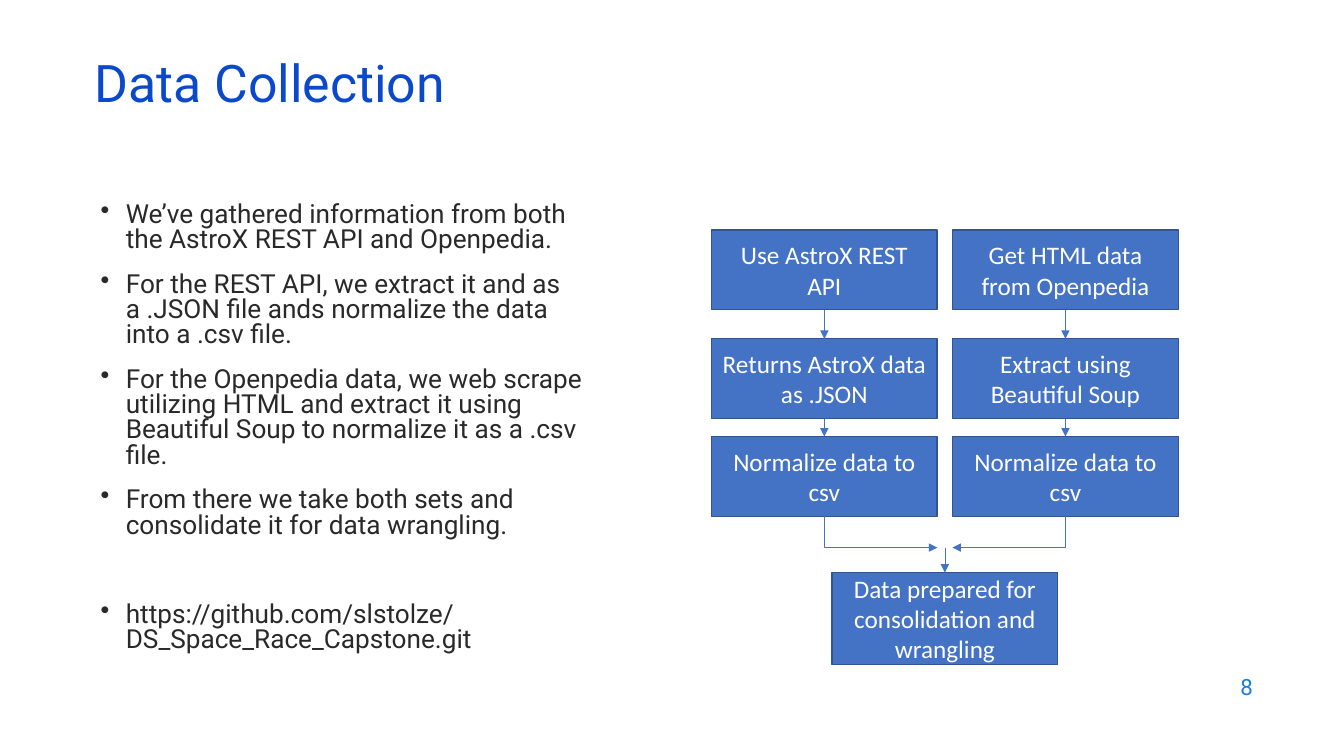
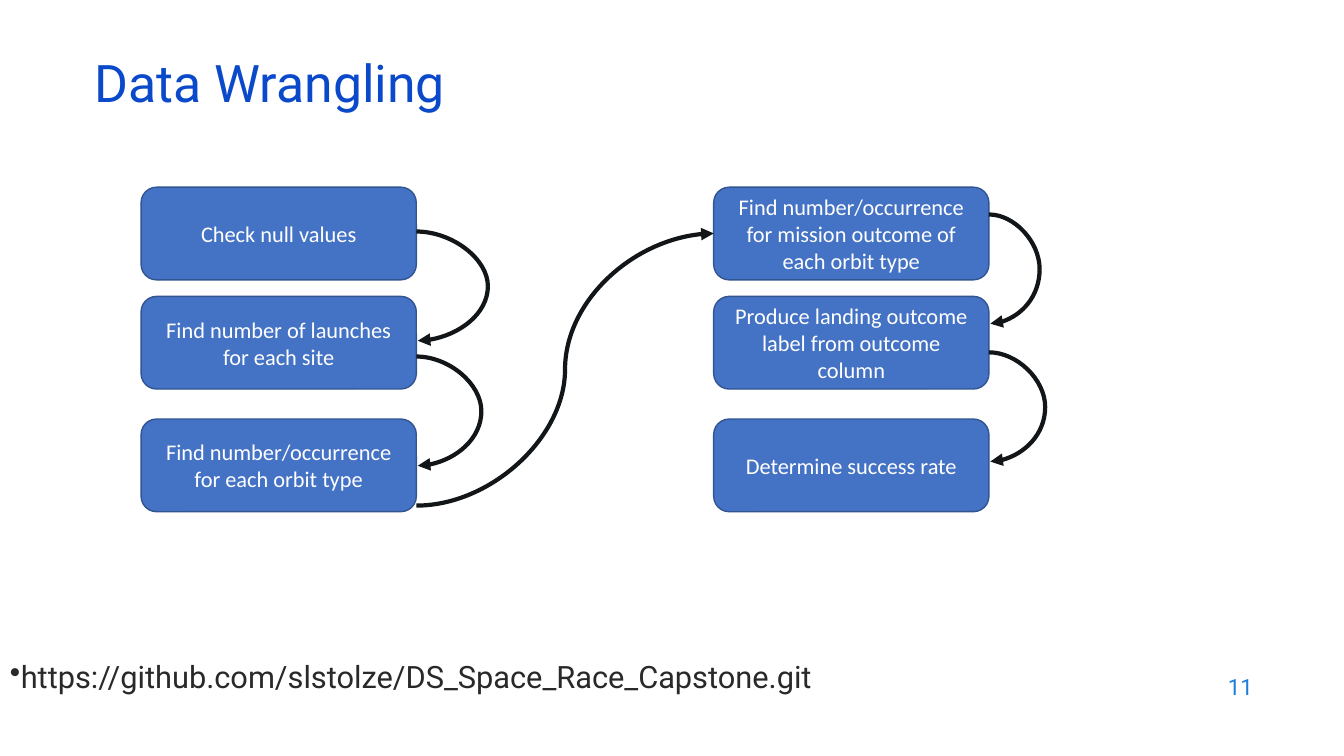
from lxml import etree
from pptx import Presentation
from pptx.dml.color import RGBColor
from pptx.enum import shapes, text
from pptx.oxml import ns
from pptx.util import Pt

WHITE = RGBColor(0xFF, 0xFF, 0xFF)
BOX_FILL = RGBColor(0x44, 0x72, 0xC4)
BOX_LINE = RGBColor(0x32, 0x54, 0x91)
CURVE_COLOR = RGBColor(0x12, 0x16, 0x19)
TITLE_COLOR = RGBColor(0x0B, 0x49, 0xCB)
NUMBER_COLOR = RGBColor(0x1C, 0x7D, 0xDB)
BODY_COLOR = RGBColor(0x29, 0x29, 0x29)

HEADING_FONT = "Roboto"
BOX_FONT = "Calibri"
REPOSITORY = "https://github.com/slstolze/DS_Space_Race_Capstone.git"


def format_runs(paragraph, font_name, size, color):
    for run in paragraph.runs:
        run.font.name = font_name
        run.font.size = Pt(size)
        run.font.color.rgb = color


def add_text(slide, box, anchor=text.MSO_ANCHOR.TOP):
    shape = slide.shapes.add_textbox(*(Pt(length) for length in box))
    shape.text_frame.word_wrap = True
    shape.text_frame.vertical_anchor = anchor
    return shape.text_frame


def add_frame(presentation, title, number):
    slide = presentation.slides.add_slide(presentation.slide_layouts[6])
    paragraph = add_text(slide, (60.5, 42.5, 828, 43.2), text.MSO_ANCHOR.MIDDLE).paragraphs[0]
    paragraph.text = title
    paragraph.line_spacing = 0.7
    format_runs(paragraph, HEADING_FONT, 37, TITLE_COLOR)
    paragraph = add_text(slide, (686, 474.5, 216, 31.7), text.MSO_ANCHOR.MIDDLE).paragraphs[0]
    paragraph.text = number
    paragraph.alignment = text.PP_ALIGN.RIGHT
    format_runs(paragraph, HEADING_FONT, 16, NUMBER_COLOR)
    return slide


def add_bullets(slide, box, items, size, line_spacing, indent):
    frame = add_text(slide, box)
    for index, (wording, space_before) in enumerate(items):
        paragraph = frame.add_paragraph() if index else frame.paragraphs[0]
        paragraph.text = wording
        properties = paragraph._p.get_or_add_pPr()
        properties.set("marL", str(Pt(indent)))
        properties.set("indent", str(-Pt(indent)))
        etree.SubElement(properties, ns.qn("a:buChar")).set("char", "•")
        paragraph.line_spacing = line_spacing
        paragraph.space_before = Pt(space_before)
        format_runs(paragraph, HEADING_FONT, size, BODY_COLOR)


def add_step(slide, kind, box, wording, size):
    shape = slide.shapes.add_shape(kind, *(Pt(length) for length in box))
    shape.shadow.inherit = False
    shape.fill.solid()
    shape.fill.fore_color.rgb = BOX_FILL
    shape.line.color.rgb = BOX_LINE
    shape.line.width = Pt(1)
    frame = shape.text_frame
    frame.word_wrap = True
    frame.vertical_anchor = text.MSO_ANCHOR.MIDDLE
    frame.text = wording
    frame.paragraphs[0].alignment = text.PP_ALIGN.CENTER
    format_runs(frame.paragraphs[0], BOX_FONT, size, WHITE)
    return shape


def add_arrow(slide, kind, start, end, color, width, bend=None):
    connector = slide.shapes.add_connector(kind, *(Pt(length) for length in (*start, *end)))
    connector.line.color.rgb = color
    connector.line.width = Pt(width)
    properties = connector._element.spPr
    etree.SubElement(properties.find(ns.qn("a:ln")), ns.qn("a:tailEnd")).set("type", "triangle")
    etree.SubElement(properties, ns.qn("a:effectLst"))
    if bend is not None:
        geometry = properties.find(ns.qn("a:prstGeom"))
        adjustments = geometry.find(ns.qn("a:avLst"))
        if adjustments is None:
            adjustments = etree.SubElement(geometry, ns.qn("a:avLst"))
        guide = etree.SubElement(adjustments, ns.qn("a:gd"))
        guide.set("name", "adj1")
        guide.set("fmla", f"val {round(bend * 100000)}")
    return connector


def add_collection_flow(slide, left, top):
    width, height, gap = 161.3, 57, 10.9
    row_tops = [top, top + 77.8, top + 147.6]
    columns = [
        ["Use AstroX REST API", "Returns AstroX data as .JSON", "Normalize data to csv"],
        ["Get HTML data from Openpedia", "Extract using Beautiful Soup", "Normalize data to csv"],
    ]
    straight = shapes.MSO_CONNECTOR.STRAIGHT
    rectangle = shapes.MSO_SHAPE.RECTANGLE
    middle = left + width + gap / 2
    merge_y = top + 227
    for column, wordings in enumerate(columns):
        x = left + column * (width + gap)
        center = x + width / 2
        steps = [add_step(slide, rectangle, (x, y, width, height), wording, 18)
                 for y, wording in zip(row_tops, wordings)]
        for upper, lower in zip(steps, steps[1:]):
            arrow = add_arrow(slide, straight, (center, top), (center, top), BOX_FILL, 0.5)
            arrow.begin_connect(upper, 2)
            arrow.end_connect(lower, 0)
        merge_x = middle + (column - 0.5) * gap
        add_arrow(slide, shapes.MSO_CONNECTOR.ELBOW, (center, row_tops[-1] + height),
                  (merge_x, merge_y), BOX_FILL, 0.5, 0)
    result = add_step(slide, rectangle, (middle - width / 2, top + 244.8, width, 65.5),
                      "Data prepared for consolidation and wrangling", 18)
    arrow = add_arrow(slide, straight, (middle, merge_y), (middle, top + 244.8), BOX_FILL, 0.5)
    arrow.end_connect(result, 0)


def add_wrangling_column(slide, left, top, wordings, loops):
    width, height = 196.6, 66.2
    for offset, wording in zip((0, 78, 165.6), wordings):
        add_step(slide, shapes.MSO_SHAPE.ROUNDED_RECTANGLE,
                 (left, top + offset, width, height), wording, 16)
    right = left + width
    for offset, bulge in loops:
        add_arrow(slide, shapes.MSO_CONNECTOR.CURVE, (right, top + offset),
                  (right + 1, top + offset + 78), CURVE_COLOR, 3, bulge)


def add_wrangling_flow(slide, left, top):
    second_left = left + 409
    add_wrangling_column(slide, left, top, [
        "Check null values",
        "Find number of launches for each site",
        "Find number/occurrence for each orbit type",
    ], [(31.7, 51.5), (121, 46.8)])
    add_wrangling_column(slide, second_left, top, [
        "Find number/occurrence for mission outcome of each orbit type",
        "Produce landing outcome label from outcome column",
        "Determine success rate",
    ], [(19.5, 36.5), (118, 40.5)])
    add_arrow(slide, shapes.MSO_CONNECTOR.CURVE, (left + 196.6, top + 227.5),
              (second_left, top + 33.1), CURVE_COLOR, 3, 0.5)


def build_collection_slide(presentation):
    slide = add_frame(presentation, "Data Collection", "8")
    add_bullets(slide, (64.8, 141.8, 365, 332.6), [
        ("We’ve gathered information from both the AstroX REST API and Openpedia.", 0),
        ("For the REST API, we extract it and as a .JSON file ands normalize the data "
         "into a .csv file.", 14),
        ("For the Openpedia data, we web scrape utilizing HTML and extract it using "
         "Beautiful Soup to normalize it as a .csv file.", 14),
        ("From there we take both sets and consolidate it for data wrangling.", 14),
        (REPOSITORY, 46),
    ], 18.7, 0.8, 18)
    add_collection_flow(slide, 508.2, 164.2)


def build_wrangling_slide(presentation):
    slide = add_frame(presentation, "Data Wrangling", "11")
    add_bullets(slide, (0, 469, 707, 71), [(REPOSITORY, 0)], 22, 0.9, 0)
    add_wrangling_flow(slide, 100.8, 133.7)


def main():
    presentation = Presentation()
    presentation.slide_width = Pt(960)
    presentation.slide_height = Pt(540)
    build_collection_slide(presentation)
    build_wrangling_slide(presentation)
    presentation.save("out.pptx")


if __name__ == "__main__":
    main()
